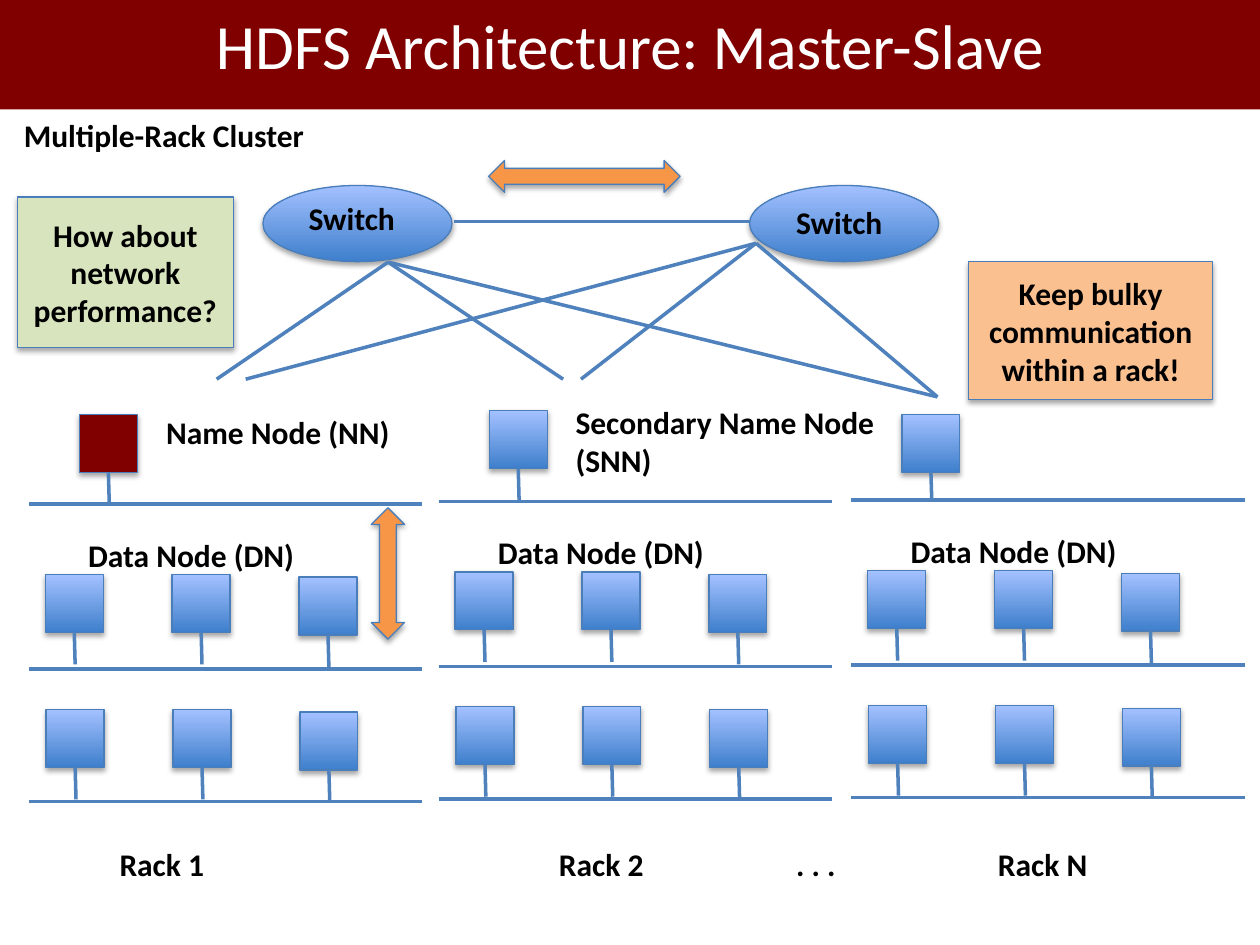
from dataclasses import dataclass

from lxml import etree
from pptx import Presentation
from pptx.dml.color import RGBColor
from pptx.enum.shapes import MSO_CONNECTOR, MSO_SHAPE
from pptx.enum.text import MSO_ANCHOR, MSO_AUTO_SIZE, PP_ALIGN
from pptx.oxml import parse_xml
from pptx.oxml.ns import nsdecls, qn
from pptx.util import Pt

RECTANGLE = MSO_SHAPE.RECTANGLE
OVAL = MSO_SHAPE.OVAL
VERTICAL_ARROW = MSO_SHAPE.UP_DOWN_ARROW
HORIZONTAL_ARROW = MSO_SHAPE.LEFT_RIGHT_ARROW
STRAIGHT = MSO_CONNECTOR.STRAIGHT
MIDDLE = MSO_ANCHOR.MIDDLE
CENTER = PP_ALIGN.CENTER
GROW = MSO_AUTO_SIZE.SHAPE_TO_FIT_TEXT
BOTTOM_SIDE = 2


@dataclass(frozen=True)
class Theme:
    font: str = "Calibri"
    title_size: float = 36
    body_size: float = 18
    white: str = "FFFFFF"
    black: str = "000000"
    maroon: str = "800000"
    outline: str = "4A7EBB"
    wire: str = "4F81BD"
    orange: str = "F79646"
    peach: str = "FAC090"
    green: str = "D7E4BD"
    gradient: tuple = ("3E7FCC", "A4C1FF")


THEME = Theme()
NODE = 33.1
HEAD_LEFT = 45.4
NODE_LEFT = 25.9
NODE_STEP = 72.5
STEM_LEAN = 0.5
STEM_LENGTH = 18.3
RACK_LEFT = 16.4
RACK_WIDTH = 225
BUS_TOPS = (288, 382.3, 458)
NODE_ROWS = ((0, 328.3), (0.5, 405.4))
NODE_DROPS = (0, 0, 1.5)
RACKS = (
    (0, 0, 236.9, THEME.maroon),
    (234.2, -1.5, 234.7, THEME.gradient),
    (470, -2.2, 236.9, THEME.gradient),
)


class SlideBuilder:
    def __init__(self, slide, theme):
        self.slide = slide
        self.theme = theme

    def format_text(self, paragraph, size, color, bold):
        font = paragraph.font
        font.name = self.theme.font
        font.size = Pt(size)
        font.bold = bold
        font.color.rgb = RGBColor.from_string(color)

    def title(self, text, left, top, width, height):
        title = self.slide.shapes.title
        title.left, title.top = Pt(left), Pt(top)
        title.width, title.height = Pt(width), Pt(height)
        title.fill.solid()
        title.fill.fore_color.rgb = RGBColor.from_string(self.theme.maroon)
        frame = title.text_frame
        frame.text = text
        frame.vertical_anchor = MIDDLE
        paragraph = frame.paragraphs[0]
        paragraph.alignment = CENTER
        self.format_text(paragraph, self.theme.title_size, self.theme.white, False)

    def label(self, text, left, top, width, height=29):
        box = self.slide.shapes.add_textbox(Pt(left), Pt(top), Pt(width), Pt(height))
        frame = box.text_frame
        frame.word_wrap = True
        frame.auto_size = GROW
        frame.text = text
        self.format_text(frame.paragraphs[0], self.theme.body_size, self.theme.black, True)

    def add_shadow(self, shape):
        shape.shadow.inherit = False
        effects = shape._element.spPr.find(qn("a:effectLst"))
        effects.append(parse_xml(
            f'<a:outerShdw {nsdecls("a")} blurRad="{Pt(3.1)}" dist="{Pt(1.8)}" '
            f'dir="5400000" rotWithShape="0"><a:srgbClr val="{self.theme.black}">'
            '<a:alpha val="35000"/></a:srgbClr></a:outerShdw>'
        ))

    def shape(self, kind, left, top, width, height, fill):
        shape = self.slide.shapes.add_shape(kind, Pt(left), Pt(top), Pt(width), Pt(height))
        if isinstance(fill, tuple):
            shape.fill.gradient()
            shape.fill.gradient_angle = 90
            for stop, color, position in zip(shape.fill.gradient_stops, fill, (0, 1)):
                stop.color.rgb = RGBColor.from_string(color)
                stop.position = position
        else:
            shape.fill.solid()
            shape.fill.fore_color.rgb = RGBColor.from_string(fill)
        shape.line.color.rgb = RGBColor.from_string(self.theme.outline)
        shape.line.width = Pt(0.75)
        self.add_shadow(shape)
        return shape

    def callout(self, text, left, top, width, height, fill):
        frame = self.shape(RECTANGLE, left, top, width, height, fill).text_frame
        frame.word_wrap = True
        frame.vertical_anchor = MIDDLE
        frame.text = text
        paragraph = frame.paragraphs[0]
        paragraph.alignment = CENTER
        self.format_text(paragraph, self.theme.body_size, self.theme.black, True)

    def wire(self, start, end):
        wire = self.slide.shapes.add_connector(STRAIGHT, *map(Pt, (*start, *end)))
        wire.line.color.rgb = RGBColor.from_string(self.theme.wire)
        wire.line.width = Pt(2)
        etree.SubElement(wire._element.spPr, qn("a:effectLst"))
        return wire

    def node(self, left, top, stem_end, fill):
        square = self.shape(RECTANGLE, left, top, NODE, NODE, fill)
        center = left + NODE / 2
        stem = self.wire((center, top + NODE), (center + STEM_LEAN, stem_end))
        stem.begin_connect(square, BOTTOM_SIDE)

    def rack(self, shift, rise, head_top, head_fill):
        self.node(HEAD_LEFT + shift, head_top, BUS_TOPS[0] + rise, head_fill)
        for indent, row_top in NODE_ROWS:
            for column, drop in enumerate(NODE_DROPS):
                left = NODE_LEFT + indent + column * NODE_STEP + shift
                top = row_top + drop + rise
                self.node(left, top, top + NODE + STEM_LENGTH, self.theme.gradient)
        left = RACK_LEFT + shift
        for bus_top in BUS_TOPS:
            self.wire((left, bus_top + rise), (left + RACK_WIDTH, bus_top + rise))
        self.label("Data Node (DN)", 43.2 + shift, 302.6 + rise, 151)


def main():
    presentation = Presentation()
    presentation.slide_width, presentation.slide_height = Pt(720), Pt(540)
    slide = presentation.slides.add_slide(presentation.slide_layouts[5])
    builder = SlideBuilder(slide, THEME)

    builder.title("HDFS Architecture: Master-Slave", 0, -11.5, 720, 74)
    builder.label("Multiple-Rack Cluster", 6.5, 62.6, 182)

    for rack in RACKS:
        builder.rack(*rack)
    builder.label("Name Node (NN)", 87.8, 232.6, 151)
    builder.label("Secondary Name Node (SNN)", 321.8, 226.8, 231, 50.4)

    for left in (150.3, 428.4):
        builder.shape(OVAL, left, 106, 108, 43.5, THEME.gradient)
    builder.label("Switch", 169.2, 110.2, 70)
    builder.label("Switch", 447.8, 112.3, 76)

    builder.wire((259.2, 126.7), (428.4, 126.7))
    uplinks = (
        ((221.8, 149.8), ((123.8, 216.7), (321.8, 216.7), (535.7, 226.8))),
        ((432, 139), ((140.4, 216.7), (332, 216.7), (535.7, 226.8))),
    )
    for switch_port, rack_ports in uplinks:
        for rack_port in rack_ports:
            builder.wire(switch_port, rack_port)

    for text, left, width in (
        ("Rack 1", 61.2, 76),
        ("Rack 2", 312.3, 76),
        (". . .", 447.8, 48),
        ("Rack N", 563.2, 76),
    ):
        builder.label(text, left, 479.5, width)

    builder.shape(VERTICAL_ARROW, 212.2, 290.2, 19, 75, THEME.orange)
    builder.shape(HORIZONTAL_ARROW, 279.2, 91.7, 109.4, 18.2, THEME.orange)
    builder.callout("Keep bulky communication within a rack!", 553.5, 149.6, 139.5, 78.8, THEME.peach)
    builder.callout("How about network performance?", 10, 112.5, 123.3, 86.2, THEME.green)

    presentation.save("out.pptx")


if __name__ == "__main__":
    main()
